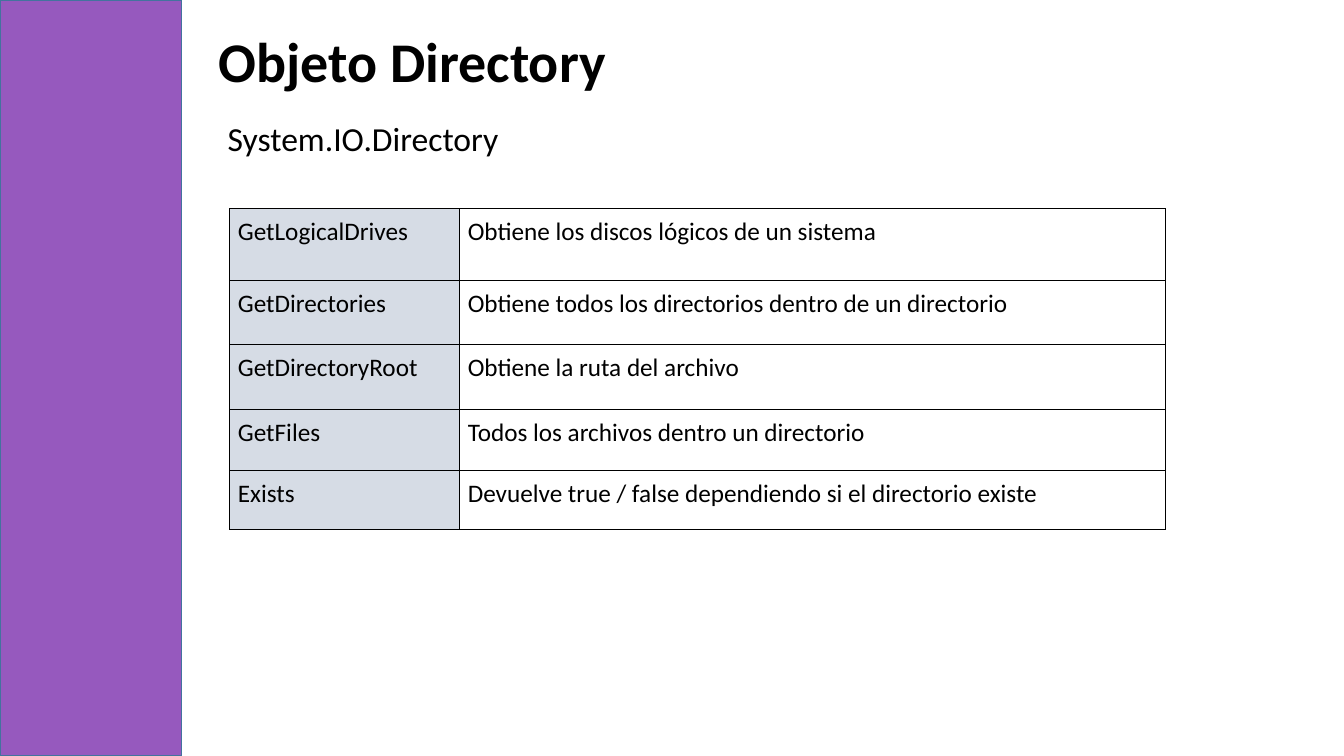
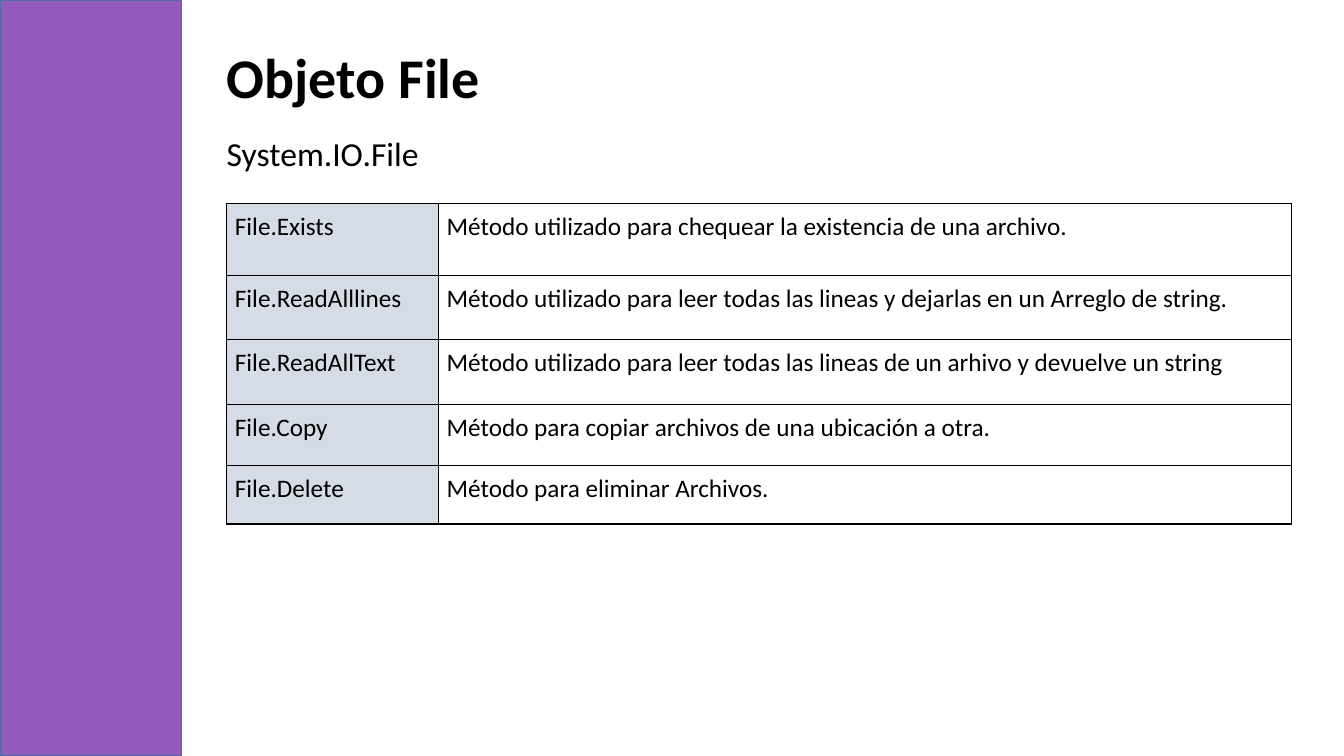
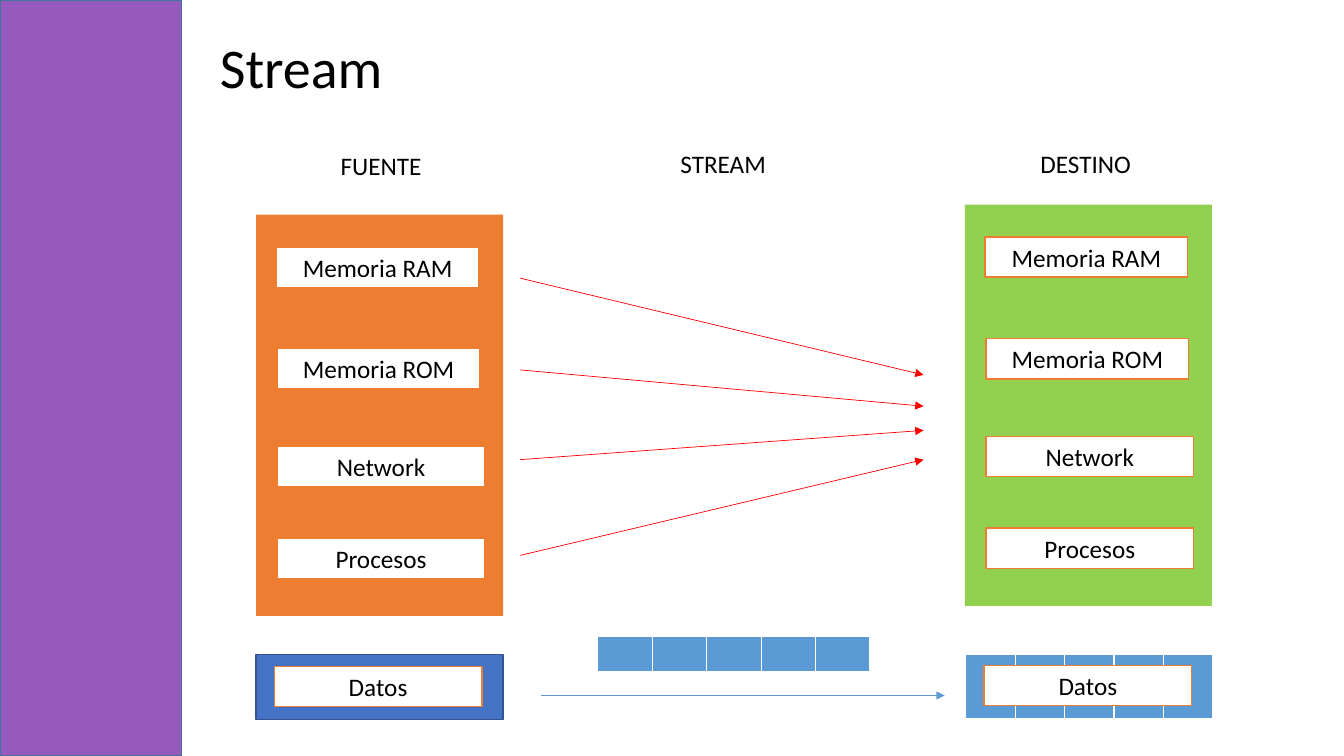
from lxml.etree import SubElement
from pptx import Presentation
from pptx.dml.color import RGBColor
from pptx.enum.shapes import MSO_CONNECTOR, MSO_SHAPE
from pptx.enum.text import MSO_ANCHOR, MSO_AUTO_SIZE, PP_ALIGN
from pptx.oxml.ns import qn
from pptx.util import Inches, Pt

FONT = "Calibri"
BLACK = "000000"
WHITE = "FFFFFF"
PURPLE = "9659BE"
BAND_EDGE = "43739E"
GREY_BLUE = "D6DCE5"
ORANGE = "ED7D31"
GREEN = "92D050"
BLUE = "4472C4"
DARK_BLUE = "325491"
LIGHT_BLUE = "5B9BD5"
RED = "FF0000"

TITLE_ONLY_LAYOUT = 5
METHOD_ROW_HEIGHTS = (0.71, 0.64, 0.64, 0.61, 0.58)
DATA_BLOCKS = 5

DIRECTORY_METHODS = (
    ("GetLogicalDrives", "Obtiene los discos lógicos de un sistema"),
    ("GetDirectories", "Obtiene todos los directorios dentro de un directorio"),
    ("GetDirectoryRoot", "Obtiene la ruta del archivo"),
    ("GetFiles", "Todos los archivos dentro un directorio"),
    ("Exists", "Devuelve true / false dependiendo si el directorio existe"),
)
FILE_METHODS = (
    ("File.Exists", "Método utilizado para chequear la existencia de una archivo."),
    ("File.ReadAlllines", "Método utilizado para leer todas las lineas y dejarlas en un Arreglo de string."),
    ("File.ReadAllText", "Método utilizado para leer todas las lineas de un arhivo y devuelve un string"),
    ("File.Copy", "Método para copiar archivos de una ubicación a otra."),
    ("File.Delete", "Método para eliminar Archivos."),
)
# Text, offset from the panel's left and top, width
PANEL_ITEMS = (
    ("Memoria RAM", 0.2, 0.32, 2.01),
    ("Memoria ROM", 0.21, 1.33, 2.01),
    ("Network", 0.21, 2.3, 2.06),
    ("Procesos", 0.21, 3.21, 2.06),
)
# Start and end heights of the stream arrows
STREAM_ARROWS = ((2.76, 3.72), (3.67, 4.03), (4.56, 4.27), (5.51, 4.56))


def color(hex_string):
    return RGBColor.from_string(hex_string)


def write(text_frame, text, size=18, bold=False, align=PP_ALIGN.LEFT):
    paragraph = text_frame.paragraphs[0]
    paragraph.alignment = align
    run = paragraph.add_run()
    run.text = text
    run.font.name = FONT
    run.font.size = Pt(size)
    run.font.bold = bold
    run.font.color.rgb = color(BLACK)


def write_label(shape, text, size, bold=False):
    """Write one unwrapped line into a text box or placeholder."""
    frame = shape.text_frame
    frame.word_wrap = False
    frame.auto_size = MSO_AUTO_SIZE.SHAPE_TO_FIT_TEXT
    frame.vertical_anchor = MSO_ANCHOR.TOP
    write(frame, text, size, bold)


def add_label(slide, text, left, top, width, height=0.4, size=18):
    box = slide.shapes.add_textbox(Inches(left), Inches(top), Inches(width), Inches(height))
    write_label(box, text, size)


def add_rectangle(slide, left, top, width, height, fill, line=None):
    shape = slide.shapes.add_shape(
        MSO_SHAPE.RECTANGLE, Inches(left), Inches(top), Inches(width), Inches(height))
    shape.shadow.inherit = False
    shape.fill.solid()
    shape.fill.fore_color.rgb = color(fill)
    if line:
        shape.line.color.rgb = color(line)
        shape.line.width = Pt(1)
    else:
        shape.line.fill.background()
    return shape


def add_item(slide, text, left, top, width):
    shape = add_rectangle(slide, left, top, width, 0.4, WHITE, ORANGE)
    shape.text_frame.word_wrap = True
    write(shape.text_frame, text, align=PP_ALIGN.CENTER)


def add_arrow(slide, start, end, line):
    connector = slide.shapes.add_connector(
        MSO_CONNECTOR.STRAIGHT, *(Inches(value) for value in (*start, *end)))
    connector.line.color.rgb = color(line)
    connector.line.width = Pt(0.5)
    SubElement(connector.line._get_or_add_ln(), qn("a:tailEnd"), type="triangle")
    SubElement(connector._element.spPr, qn("a:effectLst"))


def set_borders(cell, line, bottom_width=1):
    """Draw 1 pt borders, with a bottom border of its own width; call before filling."""
    properties = cell._tc.get_or_add_tcPr()
    for side, width in (("L", 1), ("R", 1), ("T", 1), ("B", bottom_width)):
        border = SubElement(properties, qn(f"a:ln{side}"), w=str(Pt(width)))
        SubElement(SubElement(border, qn("a:solidFill")), qn("a:srgbClr"), val=line)


def set_margins(cell, margin):
    cell.margin_left = cell.margin_right = Inches(margin)
    cell.margin_top = cell.margin_bottom = Inches(margin)


def add_plain_table(slide, left, top, column_widths, row_heights):
    table = slide.shapes.add_table(
        len(row_heights), len(column_widths), Inches(left), Inches(top),
        Inches(sum(column_widths)), Inches(sum(row_heights))).table
    table.first_row = False
    table.horz_banding = False
    for column, width in zip(table.columns, column_widths):
        column.width = Inches(width)
    for row, height in zip(table.rows, row_heights):
        row.height = Inches(height)
    return table


def add_method_table(slide, left, top, column_widths, methods):
    table = add_plain_table(slide, left, top, column_widths, METHOD_ROW_HEIGHTS)
    for row, method in zip(table.rows, methods):
        for cell, text in zip(row.cells, method):
            set_margins(cell, 0.08)
            set_borders(cell, BLACK)
            write(cell.text_frame, text)
        name_cell, description_cell = row.cells
        name_cell.fill.solid()
        name_cell.fill.fore_color.rgb = color(GREY_BLUE)
        description_cell.fill.background()


def add_data_blocks(slide, left, top, block_width, height):
    table = add_plain_table(slide, left, top, [block_width] * DATA_BLOCKS, [height])
    for cell in table.iter_cells():
        set_margins(cell, 0)
        set_borders(cell, WHITE, bottom_width=3)
        cell.fill.solid()
        cell.fill.fore_color.rgb = color(LIGHT_BLUE)


def add_storage_panel(slide, left, top, fill):
    add_rectangle(slide, left, top, 2.45, 3.98, fill)
    for text, offset_left, offset_top, width in PANEL_ITEMS:
        add_item(slide, text, left + offset_left, top + offset_top, width)


def add_titled_slide(presentation, title, left, top, width, bold=True):
    """Add a slide with the side band and its title."""
    slide = presentation.slides.add_slide(presentation.slide_layouts[TITLE_ONLY_LAYOUT])
    add_rectangle(slide, 0, 0, 1.8, 7.5, PURPLE, BAND_EDGE)
    shape = slide.shapes.title
    shape.left, shape.top = Inches(left), Inches(top)
    shape.width, shape.height = Inches(width), Inches(0.77)
    write_label(shape, title, 40, bold)
    return slide


def add_directory_slide(presentation):
    slide = add_titled_slide(presentation, "Objeto Directory", 2.07, 0.21, 4.08)
    add_label(slide, "System.IO.Directory", 2.16, 1.12, 2.91, 0.5, size=24)
    add_method_table(slide, 2.28, 2.07, (2.28, 7), DIRECTORY_METHODS)


def add_file_slide(presentation):
    slide = add_titled_slide(presentation, "Objeto File", 2.15, 0.37, 2.74)
    add_label(slide, "System.IO.File", 2.15, 1.27, 2.18, 0.5, size=24)
    add_method_table(slide, 2.25, 2.02, (2.1, 8.46), FILE_METHODS)


def add_stream_slide(presentation):
    slide = add_titled_slide(presentation, "Stream", 2.08, 0.27, 1.83, bold=False)
    add_label(slide, "FUENTE", 3.28, 1.44, 1.01)
    add_label(slide, "STREAM", 6.65, 1.42, 1.06)
    add_label(slide, "DESTINO", 10.22, 1.42, 1.11)

    add_storage_panel(slide, 2.54, 2.13, ORANGE)
    add_storage_panel(slide, 9.57, 2.03, GREEN)
    for start_top, end_top in STREAM_ARROWS:
        add_arrow(slide, (5.16, start_top), (9.16, end_top), RED)

    add_rectangle(slide, 2.54, 6.49, 2.45, 0.65, BLUE, DARK_BLUE)
    add_item(slide, "Datos", 2.72, 6.61, 2.06)
    add_data_blocks(slide, 5.93, 6.31, 0.54, 0.37)
    add_arrow(slide, (5.37, 6.9), (9.37, 6.9), LIGHT_BLUE)
    add_data_blocks(slide, 9.58, 6.49, 0.49, 0.65)
    add_item(slide, "Datos", 9.76, 6.6, 2.06)


def main():
    presentation = Presentation()
    presentation.slide_width = Inches(13.33)
    presentation.slide_height = Inches(7.5)
    add_directory_slide(presentation)
    add_file_slide(presentation)
    add_stream_slide(presentation)
    presentation.save("out.pptx")


if __name__ == "__main__":
    main()
